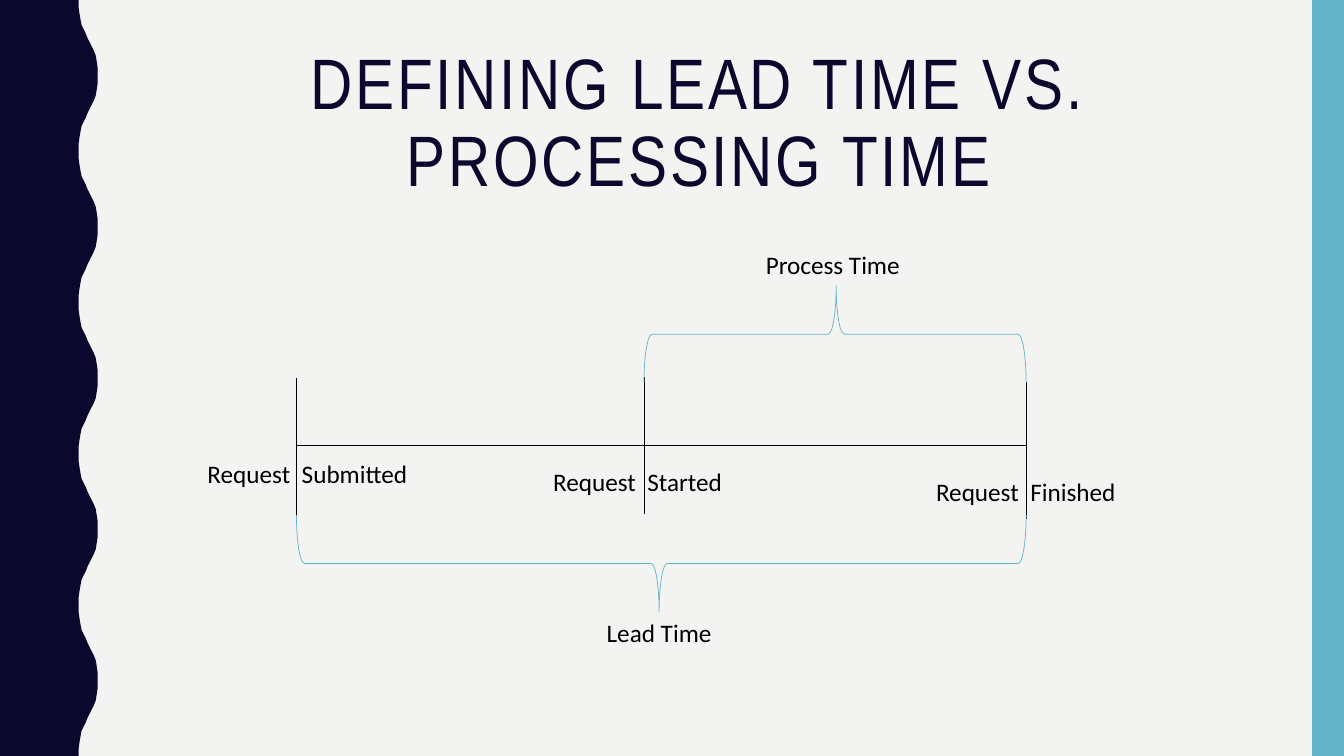
"""Build a slide that sets lead time against processing time on a timeline."""
from lxml.etree import SubElement
from pptx import Presentation
from pptx.dml.color import RGBColor
from pptx.enum.shapes import MSO_CONNECTOR, MSO_SHAPE
from pptx.enum.text import MSO_ANCHOR, MSO_AUTO_SIZE, PP_ALIGN
from pptx.oxml.ns import qn
from pptx.util import Cm, Pt

TITLE = "DEFINING LEAD TIME VS.\vPROCESSING TIME"
NAVY, TEAL, PAPER, BLACK = "0B082E", "62B4C6", "F3F3F2", "000000"
WIDTH, HEIGHT = 33.87, 19.05

AXIS_Y, TICK_HEIGHT = 11.23, 3.45
BRACE_DEPTH, LABEL_HEIGHT = 2.44, 1.02
# Each event: words, tick x, tick top, label left, label top, label width
EVENTS = [
    (("Request", "Submitted"), 7.47, 9.53, 4.98, 11.43, 5.92),
    (("Request", "Started"), 16.23, 9.5, 13.69, 11.63, 5.05),
    (("Request", "Finished"), 25.86, 9.63, 23.34, 11.89, 5.05),
]
# Each period: words, first event, last event, centre y, rotation, label box
PERIODS = [
    (("Process", "Time"), 1, 2, 8.42, 270, (19.05, 6.17, 3.99)),
    (("Lead", "Time"), 0, 2, 14.2, 90, (15.04, 15.44, 3.43)),
]
WAVE_UNIT, WAVE_PERIOD, WAVE_COUNT = Cm(0.0254), 150, 5
HALF_WAVE = [
    (78, 0), (78, 7), (79, 14), (80, 20), (81, 25), (83, 29), (85, 33), (87, 38),
    (89, 42), (91, 46), (93, 50), (95, 55), (96, 61), (97, 68), (97, 75),
]


def color(value):
    return RGBColor.from_string(value)


def fill_plain(shape, value):
    shape.shadow.inherit = False
    shape.fill.solid()
    shape.fill.fore_color.rgb = color(value)
    shape.line.fill.background()


def set_line(shape, value):
    shape.line.color.rgb = color(value)
    shape.line.width = Pt(0.5)


def set_spacing(span, points):
    span.font._element.set("spc", str(round(points * 100)))


def add_line(page, x1, y1, x2, y2):
    line = page.shapes.add_connector(MSO_CONNECTOR.STRAIGHT, Cm(x1), Cm(y1), Cm(x2), Cm(y2))
    set_line(line, BLACK)
    SubElement(line._element.spPr, qn("a:effectLst"))


def add_label(page, words, left, top, width, gap=0):
    box = page.shapes.add_textbox(Cm(left), Cm(top), Cm(width), Cm(LABEL_HEIGHT))
    box.text_frame.word_wrap = True
    box.text_frame.auto_size = MSO_AUTO_SIZE.SHAPE_TO_FIT_TEXT
    para = box.text_frame.paragraphs[0]
    para.font.name, para.font.size = "Calibri", Pt(18)
    para.font.color.rgb = color(BLACK)
    for word in (words[0], " ", words[1]):
        span = para.add_run()
        span.text = word
        if word == " " and gap:
            set_spacing(span, gap)


def add_brace(page, start, end, middle, rotation):
    length = end - start
    brace = page.shapes.add_shape(
        MSO_SHAPE.RIGHT_BRACE,
        Cm((start + end - BRACE_DEPTH) / 2), Cm(middle - length / 2),
        Cm(BRACE_DEPTH), Cm(length))
    brace.rotation = rotation
    brace.adjustments[0], brace.adjustments[1] = 0.083, 0.503
    brace.shadow.inherit = False
    brace.fill.background()
    set_line(brace, TEAL)


def add_frame(page):
    page.background.fill.solid()
    page.background.fill.fore_color.rgb = color(PAPER)
    mirrored = [(x, WAVE_PERIOD - y) for x, y in reversed(HALF_WAVE[:-1])]
    edge = [(x, y + WAVE_PERIOD * turn)
            for turn in range(WAVE_COUNT) for x, y in HALF_WAVE + mirrored]
    outline = page.shapes.build_freeform(0, 0, scale=WAVE_UNIT)
    outline.add_line_segments(edge + [(0, WAVE_PERIOD * WAVE_COUNT)], close=True)
    fill_plain(outline.convert_to_shape(), NAVY)
    stripe = page.shapes.add_shape(
        MSO_SHAPE.RECTANGLE, Cm(33.07), Cm(0), Cm(WIDTH - 33.07), Cm(HEIGHT))
    fill_plain(stripe, TEAL)


def set_title(page):
    title = page.shapes.title
    title.left, title.top, title.width, title.height = Cm(3.48), Cm(1.07), Cm(28.27), Cm(4.14)
    frame = title.text_frame
    frame.text = TITLE
    frame.word_wrap = True
    frame.auto_size = MSO_AUTO_SIZE.NONE
    frame.vertical_anchor = MSO_ANCHOR.MIDDLE
    para = frame.paragraphs[0]
    para.alignment, para.line_spacing = PP_ALIGN.CENTER, 0.9
    para.font.name, para.font.size = "Arial Narrow", Pt(51)
    para.font.color.rgb = color(NAVY)
    for span in para.runs:
        set_spacing(span, 2)


def main():
    deck = Presentation()
    deck.slide_width, deck.slide_height = Cm(WIDTH), Cm(HEIGHT)
    page = deck.slides.add_slide(deck.slide_layouts[5])
    add_frame(page)
    set_title(page)

    ticks = [event[1] for event in EVENTS]
    add_line(page, ticks[0], AXIS_Y, ticks[-1], AXIS_Y)
    for words, x, tick_top, left, top, width in EVENTS:
        add_line(page, x, tick_top + TICK_HEIGHT, x, tick_top)
        add_label(page, words, left, top, width, gap=4.07)
    for words, first, last, middle, rotation, label in PERIODS:
        add_brace(page, ticks[first], ticks[last], middle, rotation)
        add_label(page, words, *label)

    deck.save("out.pptx")


if __name__ == "__main__":
    main()
